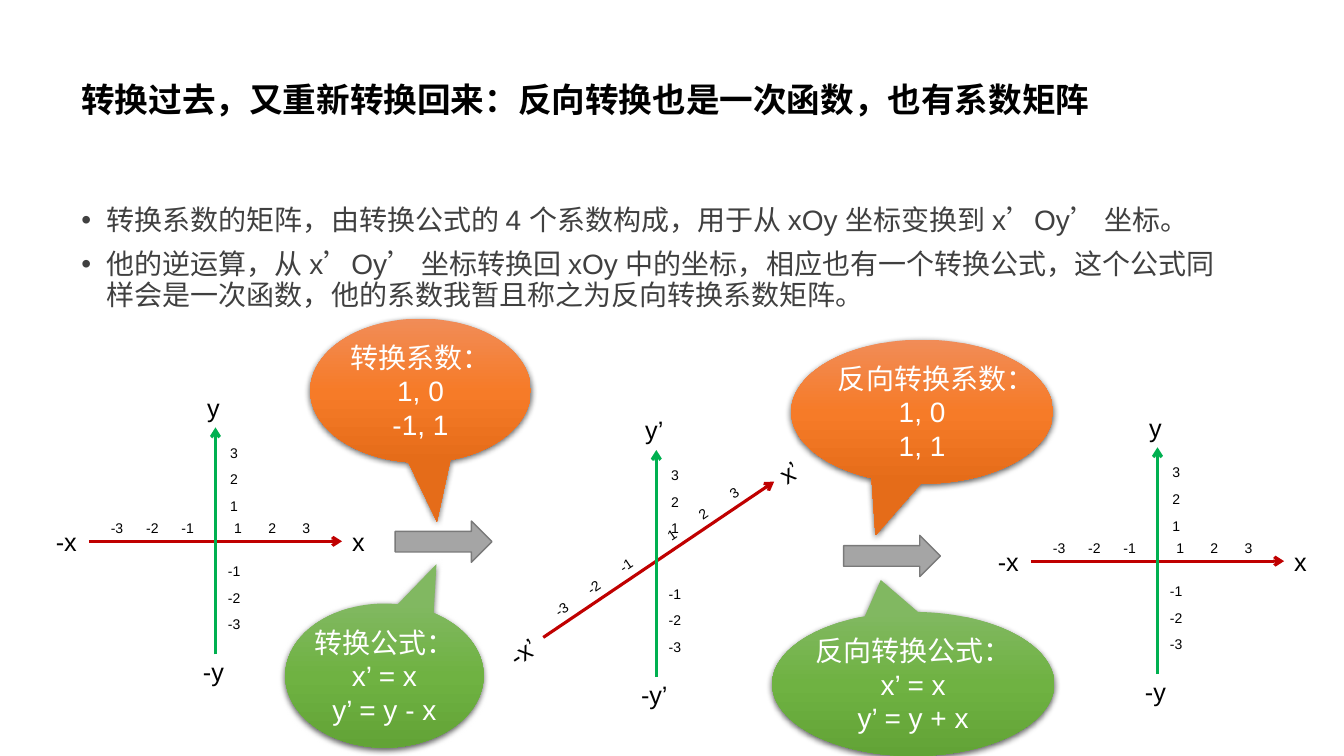
import math
from lxml import etree
from pptx import Presentation
from pptx import util as u
from pptx.dml.color import RGBColor
from pptx.enum import shapes, text
from pptx.oxml import parse_xml
from pptx.oxml.ns import qn

NS = 'xmlns:a="http://schemas.openxmlformats.org/drawingml/2006/main"'
COLORS = {"ink": "000000", "body": "404040", "white": "FFFFFF",
          "x_axis": "C00000", "y_axis": "00B050",
          "arrow": "A5A5A5", "arrow_edge": "7A7A7A"}
GRADIENTS = {"orange": ("F18C57", "F67B28", "E56C19"),
             "green": ("81B861", "6FB242", "62A336")}
TILT = -34        # degrees
STRETCH = 1.1     # the tilted axis is longer


def rgb(name):
    return RGBColor.from_string(COLORS[name])


def write(tf, lines, size=18, color="ink", bold=False, align=None,
          anchor=None, wrap=True, bullet=False, line_spacing=None, gap=0):
    """Fill a text frame, one paragraph per line."""
    tf.word_wrap = wrap
    if anchor is not None:
        tf.vertical_anchor = anchor
    for i, line in enumerate(lines):
        p = tf.paragraphs[0] if i == 0 else tf.add_paragraph()
        if bullet:
            pPr = p._p.get_or_add_pPr()
            pPr.set("marL", str(u.Cm(0.64)))
            pPr.set("indent", str(u.Cm(-0.64)))
            pPr.append(parse_xml(f'<a:buFont {NS} typeface="Arial"/>'))
            pPr.append(parse_xml(f'<a:buChar {NS} char="•"/>'))
        p.alignment = align
        p.line_spacing = line_spacing
        if i and gap:
            p.space_before = u.Pt(gap)
        r = p.add_run()
        r.text = line
        r.font.name = "Arial"
        r.font.size = u.Pt(size)
        r.font.bold = bold
        r.font.color.rgb = rgb(color)


def add_text(parent, x, y, w, h, lines, **fmt):
    sp = parent.shapes.add_textbox(u.Cm(x), u.Cm(y), u.Cm(w), u.Cm(h))
    write(sp.text_frame, lines, **fmt)
    return sp


def add_label(parent, cx, cy, label, size, angle=0):
    """Place a short label centred on a point."""
    w = 0.56 + 0.0165 * size * len(label)
    h = 0.25 + 0.0425 * size
    sp = add_text(parent, cx - w / 2, cy - h / 2, w, h, [label], size=size,
                  wrap=False, align=text.PP_ALIGN.CENTER)
    sp.rotation = angle


def add_axis(parent, start, end, color):
    s = parent.shapes.add_connector(shapes.MSO_CONNECTOR.STRAIGHT,
                                    *(u.Cm(v) for v in (*start, *end)))
    s.line.color.rgb = rgb(color)
    s.line.width = u.Pt(2.25)
    etree.SubElement(s.line._get_or_add_ln(), qn("a:tailEnd"), type="arrow")
    etree.SubElement(s._element.spPr, qn("a:effectLst"))


def add_axes(slide, ox, oy, mark="", angle=0, scale=1, shift=(0, 0)):
    """Draw a coordinate system; the x axis may be tilted and shifted."""
    group = slide.shapes.add_group_shape()
    cos, sin = math.cos(math.radians(angle)), math.sin(math.radians(angle))

    def on_x(along, across=0):
        along *= scale
        return (ox + shift[0] + along * cos - across * sin,
                oy + shift[1] + along * sin + across * cos)

    # x axis
    add_axis(group, on_x(-3.19), on_x(3.19), "x_axis")
    add_label(group, *on_x(-3.76), "-x" + mark, 18, angle)
    add_label(group, *on_x(3.6), "x" + mark, 18, angle)
    # y axis
    add_axis(group, (ox, oy + 2.85), (ox, oy - 2.87), "y_axis")
    add_label(group, ox - 0.05, oy - 3.38, "y" + mark, 18)
    add_label(group, ox - 0.05, oy + 3.28, "-y" + mark, 18)
    # Tick labels
    for n in (-3, -2, -1, 1, 2, 3):
        along = 0.86 * n - 0.29 if n > 0 else 0.89 * n + 0.19
        add_label(group, *on_x(along, -0.34), str(n), 10, angle)
        down = -0.67 * n - (0.23 if n > 0 else -0.08)
        add_label(group, ox + 0.47, oy + down, str(n), 10)


def add_callout(slide, x, y, w, tip, gradient, lines):
    sp = slide.shapes.add_shape(shapes.MSO_SHAPE.OVAL_CALLOUT,
                                u.Cm(x), u.Cm(y), u.Cm(w), u.Cm(3.63))
    sp.adjustments[0], sp.adjustments[1] = tip
    sp.line.fill.background()
    stops = "".join(f'<a:gs pos="{i * 50000}"><a:srgbClr val="{c}"/></a:gs>'
                    for i, c in enumerate(GRADIENTS[gradient]))
    spPr = sp._element.spPr
    spPr.find(qn("a:prstGeom")).addnext(parse_xml(
        f'<a:gradFill {NS} rotWithShape="1"><a:gsLst>{stops}</a:gsLst>'
        '<a:lin ang="5400000" scaled="0"/></a:gradFill>'))
    sp.shadow.inherit = False
    spPr.find(qn("a:effectLst")).append(parse_xml(
        f'<a:outerShdw {NS} blurRad="57150" dist="19050" dir="5400000" '
        'algn="ctr" rotWithShape="0"><a:srgbClr val="000000">'
        '<a:alpha val="63000"/></a:srgbClr></a:outerShdw>'))
    tf = sp.text_frame
    tf.margin_left = tf.margin_right = tf.margin_top = tf.margin_bottom = 0
    write(tf, lines, size=20, color="white", align=text.PP_ALIGN.CENTER,
          anchor=text.MSO_ANCHOR.MIDDLE)


def add_arrow(slide, x, y):
    sp = slide.shapes.add_shape(shapes.MSO_SHAPE.RIGHT_ARROW,
                                u.Cm(x), u.Cm(y), u.Cm(2.44), u.Cm(1.04))
    sp.shadow.inherit = False
    sp.fill.solid()
    sp.fill.fore_color.rgb = rgb("arrow")
    sp.line.color.rgb = rgb("arrow_edge")
    sp.line.width = u.Pt(1)


def main():
    prs = Presentation()
    prs.slide_width, prs.slide_height = u.Cm(33.87), u.Cm(19.05)
    slide = prs.slides.add_slide(prs.slide_layouts[6])

    # Title and explanation
    add_text(slide, 1.8, 0.71, 29.21, 3.68,
             ["转换过去，又重新转换回来：反向转换也是一次函数，也有系数矩阵"],
             size=24, bold=True, anchor=text.MSO_ANCHOR.MIDDLE,
             line_spacing=0.9)
    add_text(slide, 1.8, 5.08, 29.21, 12.09,
             ["转换系数的矩阵，由转换公式的 4 个系数构成，用于从 xOy 坐标变换到 "
              "x’Oy’ 坐标。",
              "他的逆运算，从 x’Oy’ 坐标转换回 xOy 中的坐标，相应也有一个转换公式，"
              "这个公式同样会是一次函数，他的系数我暂且称之为反向转换系数矩阵。"],
             size=20, color="body", bullet=True, line_spacing=0.9, gap=10)

    # Tilted coordinates in the middle
    add_axes(slide, 16.54, 14.21, "’", TILT, STRETCH, shift=(0.06, -0.11))

    # Coefficients and formulas
    add_callout(slide, 19.46, 15.42, 7.11, (-0.115, -0.722), "green",
                ["反向转换公式：", "x’ = x", "y’ = y + x"])
    add_callout(slide, 19.94, 8.56, 6.6, (-0.178, 0.858), "orange",
                ["反向转换系数：", "1, 0", "1, 1"])
    add_callout(slide, 7.19, 15.21, 5, (0.262, -0.774), "green",
                ["转换公式：", "x’ = x", "y’ = y - x"])
    add_callout(slide, 7.82, 8.03, 5.56, (0.074, 0.909), "orange",
                ["转换系数：", "1, 0", "-1, 1"])

    # Upright coordinates on both sides
    add_axes(slide, 5.43, 13.64)
    add_axes(slide, 29.17, 14.14)

    # Steps between the coordinate systems
    add_arrow(slide, 9.96, 13.13)
    add_arrow(slide, 21.26, 13.49)

    prs.save("out.pptx")


if __name__ == "__main__":
    main()
